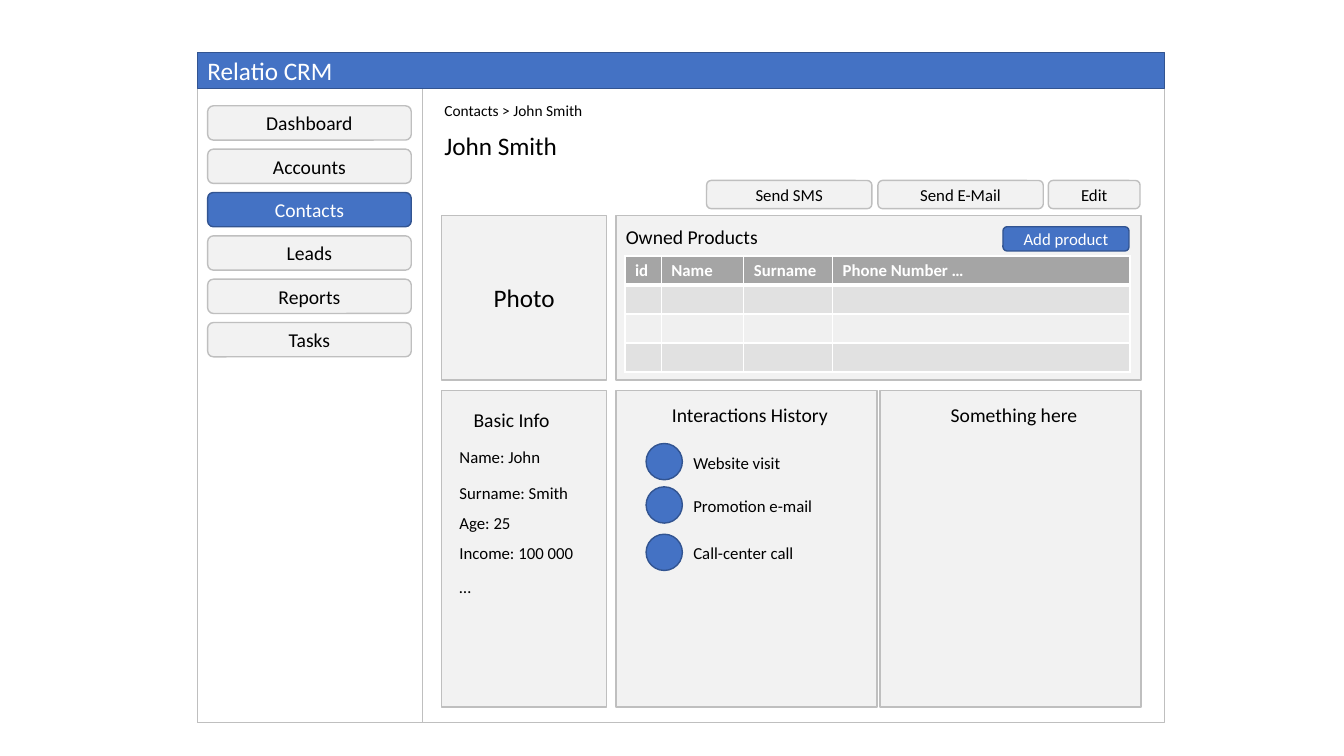
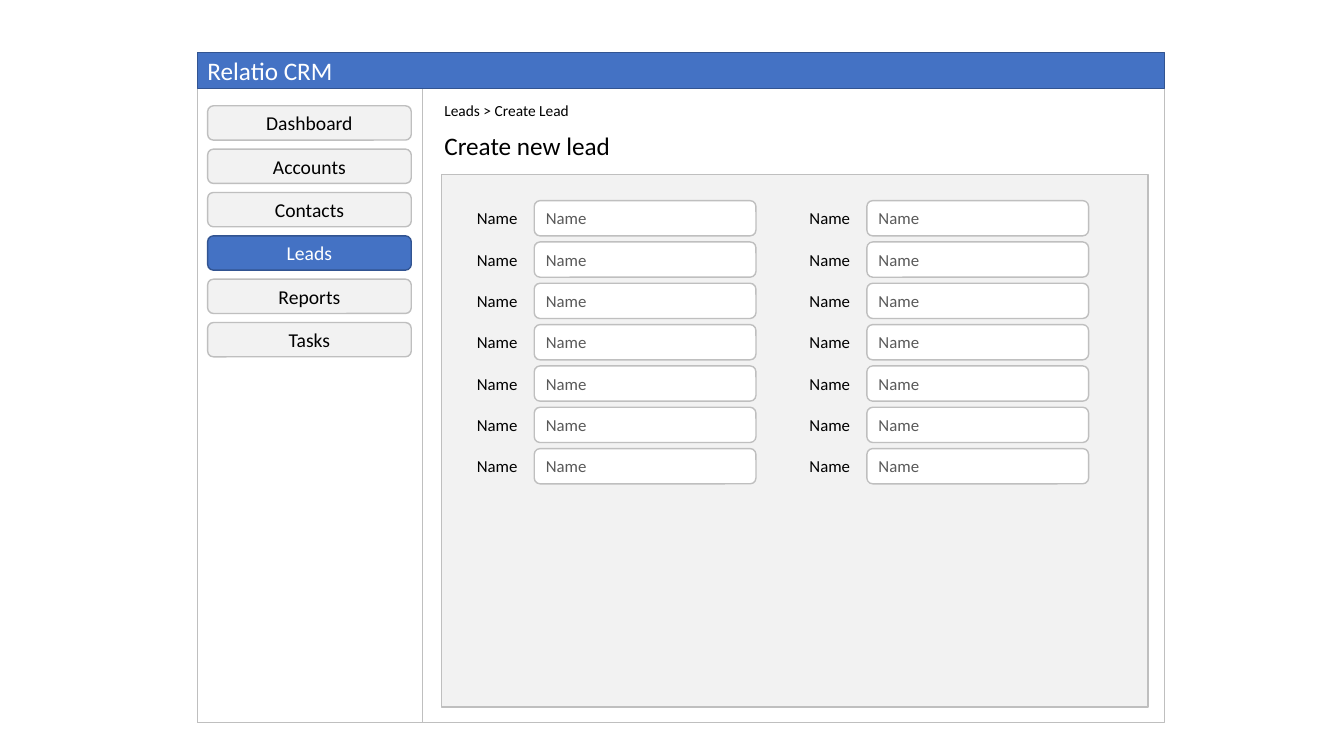
from dataclasses import dataclass

from lxml import etree
from pptx import Presentation
from pptx.dml.color import RGBColor
from pptx.enum.shapes import MSO_SHAPE
from pptx.enum.text import MSO_ANCHOR, MSO_AUTO_SIZE, PP_ALIGN
from pptx.oxml.ns import qn
from pptx.util import Inches, Pt

RECT = MSO_SHAPE.RECTANGLE
ROUNDED = MSO_SHAPE.ROUNDED_RECTANGLE
CIRCLE = MSO_SHAPE.OVAL
LEFT, CENTER, RIGHT = PP_ALIGN.LEFT, PP_ALIGN.CENTER, PP_ALIGN.RIGHT
MIDDLE = MSO_ANCHOR.MIDDLE
GROW = MSO_AUTO_SIZE.SHAPE_TO_FIT_TEXT


@dataclass(frozen=True)
class Theme:
    font: str = "Calibri"
    white: str = "FFFFFF"
    ink: str = "000000"
    hint: str = "595959"
    panel: str = "F2F2F2"
    edge: str = "BFBFBF"
    accent: str = "4472C4"
    accent_edge: str = "325491"
    table_head: str = "A5A5A5"
    band_dark: str = "E1E1E1"
    band_light: str = "F0F0F0"
    title: int = 18
    heading: int = 14
    body: int = 12
    crumb: int = 11
    line: int = 1
    head_rule: int = 3


THEME = Theme()

# Fill, outline and text colour of each kind of box
PLAIN = (THEME.white, THEME.edge, THEME.ink)
PANEL = (THEME.panel, THEME.edge, THEME.ink)
ACTIVE = (THEME.accent, THEME.accent_edge, THEME.white)
FIELD = (THEME.white, THEME.edge, THEME.hint)
BARE = (None, None, THEME.ink)

# Grid: ten cells to the inch; all places below are in cells
SLIDE_COLS, SLIDE_ROWS = 133.33, 75
WINDOW_COL, WINDOW_ROW, WINDOW_W, WINDOW_H = 19.6, 5.2, 95.9, 66.5
SIDEBAR_W, BAR_H = 22.3, 3.6
MAIN_COL, SECOND_COL, THIRD_COL = 43.8, 61.1, 87.3
MAIN_BOTTOM = 70.15
CARD_W, HISTORY_W, PRODUCTS_W = 16.4, 25.9, 52.1
TOP_ROW, TOP_H, LOWER_ROW = 21.4, 16.3, 38.75

MENU = ("Dashboard", "Accounts", "Contacts", "Leads", "Reports", "Tasks")
BASIC_INFO = (("Name: John", 43.8), ("Surname: Smith", 47.4), ("Age: 25", 50.4),
              ("Income: 100 000", 53.4), ("…", 56.7))
INTERACTIONS = (("Website visit", 44), ("Promotion e-mail", 48.3),
                ("Call-center call", 53))
ACTIONS = (("Send SMS", 70.1, 16.4), ("Send E-Mail", 87.1, 16.4),
           ("Edit", 104, 9.1))
PRODUCT_COLUMNS = (("id", 3.6), ("Name", 8.2), ("Surname", 8.8),
                   ("Phone Number …", 29.5))


def cells(*counts):
    return [Inches(count / 10) for count in counts]


def write(frame, text, size, color, align=LEFT, bold=False):
    paragraph = frame.paragraphs[0]
    paragraph.alignment = align
    run = paragraph.add_run()
    run.text = text
    run.font.name = THEME.font
    run.font.size = Pt(size)
    run.font.bold = bold
    run.font.color.rgb = RGBColor.from_string(color)


def add_box(slide, place, look, text="", size=THEME.body, align=CENTER, outline=RECT):
    fill, edge, ink = look
    box = slide.shapes.add_shape(outline, *cells(*place))
    box.shadow.inherit = False
    if fill:
        box.fill.solid()
        box.fill.fore_color.rgb = RGBColor.from_string(fill)
        box.line.color.rgb = RGBColor.from_string(edge)
        box.line.width = Pt(THEME.line)
    else:
        box.fill.background()
        box.line.fill.background()
    if text:
        box.text_frame.vertical_anchor = MIDDLE
        write(box.text_frame, text, size, ink, align)


def add_label(slide, place, text, size=THEME.body, align=LEFT):
    frame = slide.shapes.add_textbox(*cells(*place)).text_frame
    frame.word_wrap = True
    frame.auto_size = GROW
    write(frame, text, size, THEME.ink, align)


def set_border(cell, side, width):
    border = etree.SubElement(cell._tc.get_or_add_tcPr(), qn("a:ln" + side),
                              w=str(Pt(width)))
    fill = etree.SubElement(border, qn("a:solidFill"))
    etree.SubElement(fill, qn("a:srgbClr"), val=THEME.white)


def style_cell(cell, row):
    # Borders come before the fill in the cell properties
    for side in "LRTB":
        under_head = (row, side) in ((0, "B"), (1, "T"))
        set_border(cell, side, THEME.head_rule if under_head else THEME.line)
    fills = (THEME.table_head, THEME.band_dark, THEME.band_light, THEME.band_dark)
    cell.fill.solid()
    cell.fill.fore_color.rgb = RGBColor.from_string(fills[row])
    cell.vertical_anchor = MIDDLE
    cell.margin_top = cell.margin_bottom = Inches(0.03)


def add_products_table(slide, place):
    row_count = 4
    table = slide.shapes.add_table(row_count, len(PRODUCT_COLUMNS),
                                   *cells(*place)).table
    for column, (heading, width) in enumerate(PRODUCT_COLUMNS):
        table.columns[column].width = cells(width)[0]
        for row in range(row_count):
            cell = table.cell(row, column)
            style_cell(cell, row)
            if row == 0:
                write(cell.text_frame, heading, THEME.body, THEME.white, bold=True)
            else:
                etree.SubElement(cell.text_frame.paragraphs[0]._p,
                                 qn("a:endParaRPr"), sz=str(THEME.body * 100))


def add_page(deck, active, crumb, title):
    slide = deck.slides.add_slide(deck.slide_layouts[6])
    # Application window
    corner = (WINDOW_COL, WINDOW_ROW)
    add_box(slide, (*corner, WINDOW_W, WINDOW_H), PLAIN)
    add_box(slide, (*corner, SIDEBAR_W, WINDOW_H), PLAIN)
    add_box(slide, (*corner, WINDOW_W, BAR_H), ACTIVE, "Relatio CRM",
            THEME.title, LEFT)
    # Side menu
    for index, item in enumerate(MENU):
        add_box(slide, (20.6, 10.5 + 4.3 * index, 20.2, 3.4),
                ACTIVE if item == active else PANEL, item, THEME.heading,
                outline=ROUNDED)
    # Page heading
    add_label(slide, (43.1, 12.4, 35.5, 4), title, THEME.title)
    add_label(slide, (43.1, 9.5, 33.3, 2.9), crumb, THEME.crumb)
    return slide


def build_contact(deck):
    slide = add_page(deck, "Contacts", "Contacts > John Smith", "John Smith")
    lower_h = MAIN_BOTTOM - LOWER_ROW
    for text, column, width in ACTIONS:
        add_box(slide, (column, 17.9, width, 2.8), PANEL, text, outline=ROUNDED)

    # Photo and basic info
    add_box(slide, (MAIN_COL, TOP_ROW, CARD_W, TOP_H), PANEL, "Photo", THEME.title)
    add_box(slide, (MAIN_COL, LOWER_ROW, CARD_W, lower_h), PANEL)
    add_label(slide, (46, 40, 12, 3.4), "Basic Info", THEME.heading)
    for text, row in BASIC_INFO:
        add_label(slide, (44.6, row, 14.6, 3), text)

    # Owned products
    add_box(slide, (SECOND_COL, TOP_ROW, PRODUCTS_W, TOP_H), PANEL)
    add_label(slide, (SECOND_COL, 21.8, 24, 3.4), "Owned Products", THEME.heading)
    add_box(slide, (99.5, 22.5, 12.5, 2.4), ACTIVE, "Add product", outline=ROUNDED)
    add_products_table(slide, (62, 25.4, 50.1, 11.5))

    # Interactions history and spare panel
    for column, heading in ((SECOND_COL, "Interactions History"),
                            (THIRD_COL, "Something here")):
        add_box(slide, (column, LOWER_ROW, HISTORY_W, lower_h), PANEL)
        add_label(slide, (column + 1.3, 39.5, 24, 3.4), heading,
                  THEME.heading, CENTER)
    for text, row in INTERACTIONS:
        add_box(slide, (64.1, row, 3.6, 3.6), ACTIVE, outline=CIRCLE)
        add_label(slide, (67.8, row + 0.4, 16, 3), text)


def build_lead_form(deck):
    slide = add_page(deck, "Leads", "Leads > Create Lead", "Create new lead")
    form_row, form_w = 17.3, 70.1
    add_box(slide, (MAIN_COL, form_row, form_w, MAIN_BOTTOM - form_row), PANEL)
    # Two columns of seven labelled fields
    for column in (MAIN_COL, MAIN_COL + 33):
        for index in range(7):
            row = 19.9 + 4.1 * index
            add_box(slide, (column, row, 8.7, 3.5), BARE, "Name",
                    align=RIGHT, outline=ROUNDED)
            add_box(slide, (column + 9.2, row, 22, 3.5), FIELD, "Name",
                    align=LEFT, outline=ROUNDED)


def main():
    deck = Presentation()
    deck.slide_width, deck.slide_height = cells(SLIDE_COLS, SLIDE_ROWS)
    build_contact(deck)
    build_lead_form(deck)
    deck.save("out.pptx")


main()
